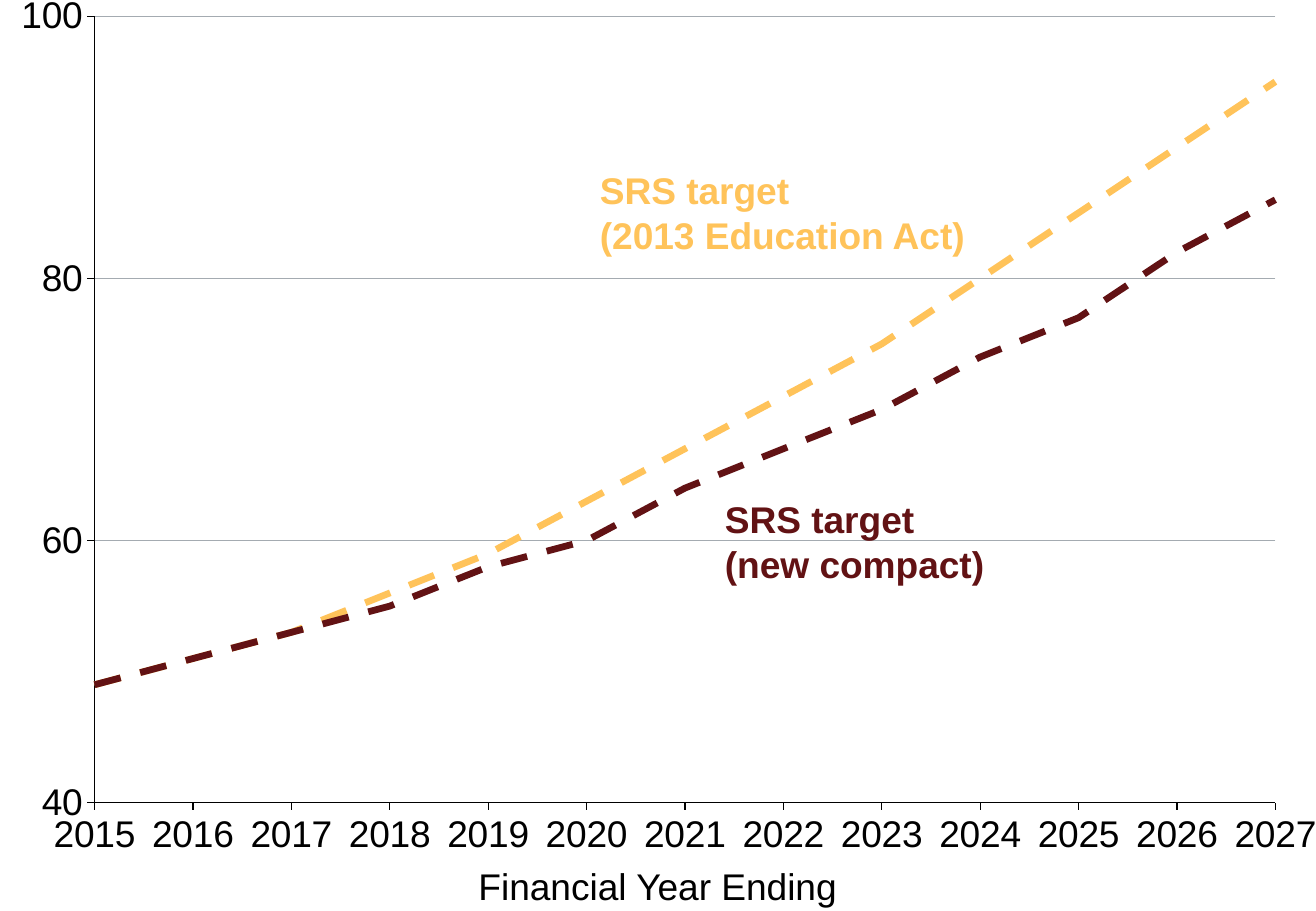
from dataclasses import dataclass

from lxml import etree
from pptx import Presentation
from pptx.chart.data import CategoryChartData
from pptx.dml.color import RGBColor
from pptx.enum import chart as charts, dml, text
from pptx.oxml.ns import qn
from pptx.util import Pt


@dataclass(frozen=True)
class Theme:
    font: str = "Arial"
    size: float = 22
    ink: str = "000000"
    grid: str = "A4ABB1"
    act: str = "FFC35A"
    compact: str = "621214"
    axis_width: float = 0.75
    series_width: float = 4


THEME = Theme()
YEARS = [str(year) for year in range(2015, 2028)]
TARGETS = [
    ("Series 1", THEME.act, [49, 51, 53, 56, 59, 63, 67, 71, 75, 80, 85, 90, 95]),
    ("Series 2", THEME.compact, [49, 51, 53, 55, 58, 60, 64, 67, 70, 74, 77, 82, 86]),
]
PLOT_AREA = {"x": 0.077, "y": 0.032, "w": 0.883, "h": 0.886}


def style_font(font, color, bold=False):
    font.name = THEME.font
    font.size = Pt(THEME.size)
    font.bold = bold
    font.color.rgb = RGBColor.from_string(color)


def style_line(line, color, width):
    line.color.rgb = RGBColor.from_string(color)
    line.width = Pt(width)


def style_axis(axis):
    axis.major_tick_mark = charts.XL_TICK_MARK.OUTSIDE
    axis.minor_tick_mark = charts.XL_TICK_MARK.NONE
    style_font(axis.tick_labels.font, THEME.ink)
    style_line(axis.format.line, THEME.ink, THEME.axis_width)


def place_plot(chart):
    """Fix the inner plot area as fractions of the chart frame."""
    plot_area = chart._chartSpace.find(".//" + qn("c:plotArea"))
    for old in plot_area.findall(qn("c:layout")):
        plot_area.remove(old)
    layout = etree.Element(qn("c:layout"))
    manual = etree.SubElement(layout, qn("c:manualLayout"))
    settings = {"layoutTarget": "inner", "xMode": "edge", "yMode": "edge", **PLOT_AREA}
    for tag, value in settings.items():
        etree.SubElement(manual, qn("c:" + tag)).set("val", str(value))
    plot_area.insert(0, layout)


def start_on_axis(value_axis):
    """Put the first and last years on the plot's edges."""
    element = value_axis._element
    cross = element.find(qn("c:crossBetween"))
    if cross is None:
        cross = etree.Element(qn("c:crossBetween"))
        element.find(qn("c:crosses")).addnext(cross)
    cross.set("val", "midCat")


def add_target_chart(page, left, top, width, height):
    data = CategoryChartData(number_format="0")
    data.categories = YEARS
    for name, _, values in TARGETS:
        data.add_series(name, values)
    chart = page.shapes.add_chart(
        charts.XL_CHART_TYPE.LINE, Pt(left), Pt(top), Pt(width), Pt(height), data
    ).chart
    chart.has_legend = False
    chart.has_title = False
    style_font(chart.font, THEME.ink)
    place_plot(chart)

    # Axes
    style_axis(chart.category_axis)
    values = chart.value_axis
    style_axis(values)
    values.minimum_scale = 40
    values.maximum_scale = 100
    values.major_unit = 20
    values.has_major_gridlines = True
    style_line(values.major_gridlines.format.line, THEME.grid, THEME.axis_width)
    start_on_axis(values)

    # Dashed target lines
    chart.plots[0].vary_by_categories = False
    for series, (_, color, _) in zip(chart.plots[0].series, TARGETS):
        series.smooth = False
        series.marker.style = charts.XL_MARKER_STYLE.NONE
        style_line(series.format.line, color, THEME.series_width)
        series.format.line.dash_style = dml.MSO_LINE.DASH


def add_label(page, content, left, top, width, height, color, bold=False):
    box = page.shapes.add_textbox(Pt(left), Pt(top), Pt(width), Pt(height))
    frame = box.text_frame
    frame.text = content
    frame.word_wrap = False
    frame.auto_size = text.MSO_AUTO_SIZE.SHAPE_TO_FIT_TEXT
    for para in frame.paragraphs:
        for span in para.runs:
            style_font(span.font, color, bold)


def main():
    deck = Presentation()
    deck.slide_width, deck.slide_height = Pt(780), Pt(540)
    page = deck.slides.add_slide(deck.slide_layouts[6])

    add_target_chart(page, -5, -7.2, 792.7, 526.3)

    # Series labels
    add_label(page, "SRS target\n(2013 Education Act)", 348.5, 95.8, 240.5, 60.5, THEME.act, True)
    add_label(page, "SRS target\n(new compact)", 422.6, 290.9, 176.4, 60.5, THEME.compact, True)

    # Axis title
    add_label(page, "Financial Year Ending", 276.5, 508.3, 229.7, 33.8, THEME.ink)

    deck.save("out.pptx")


if __name__ == "__main__":
    main()
